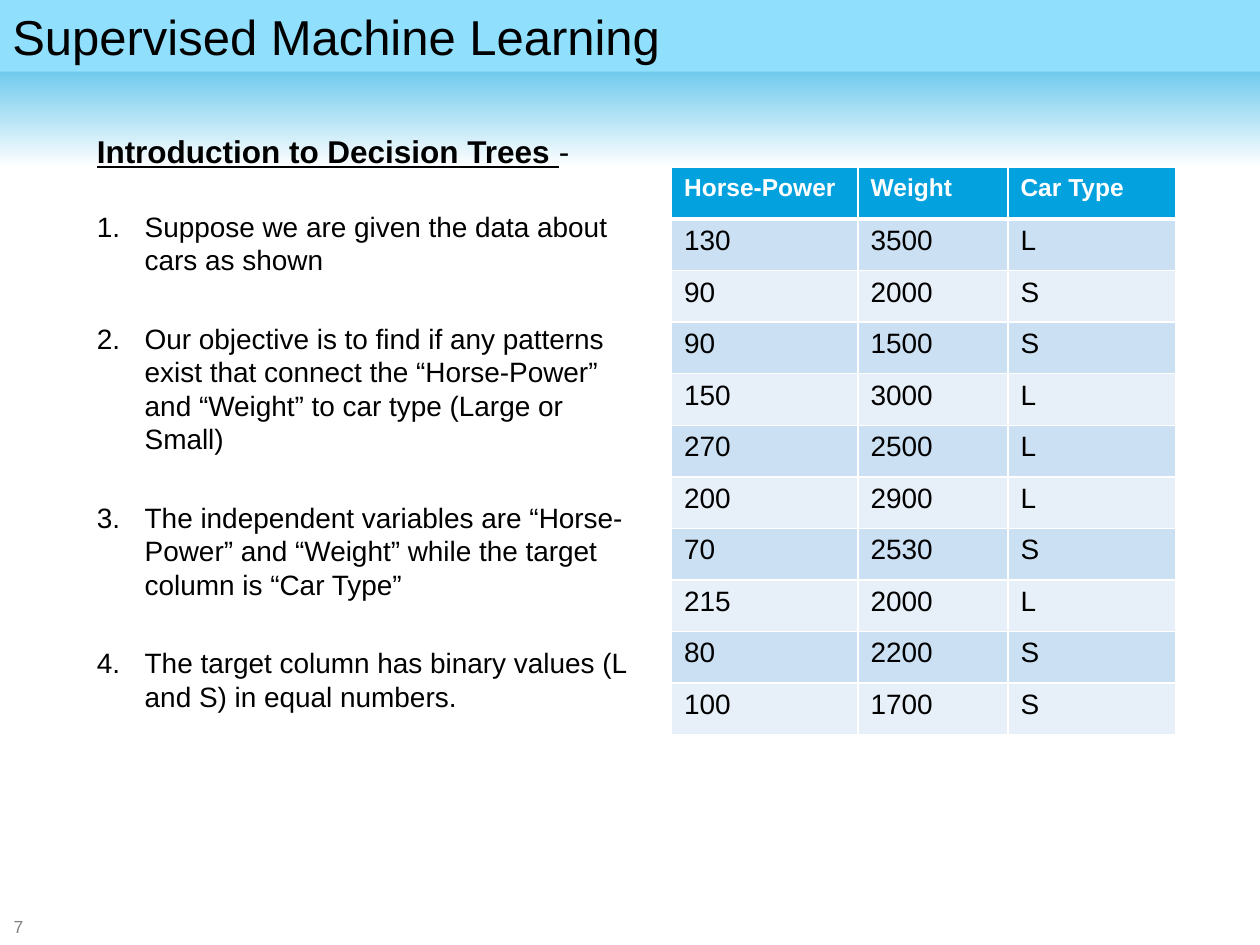
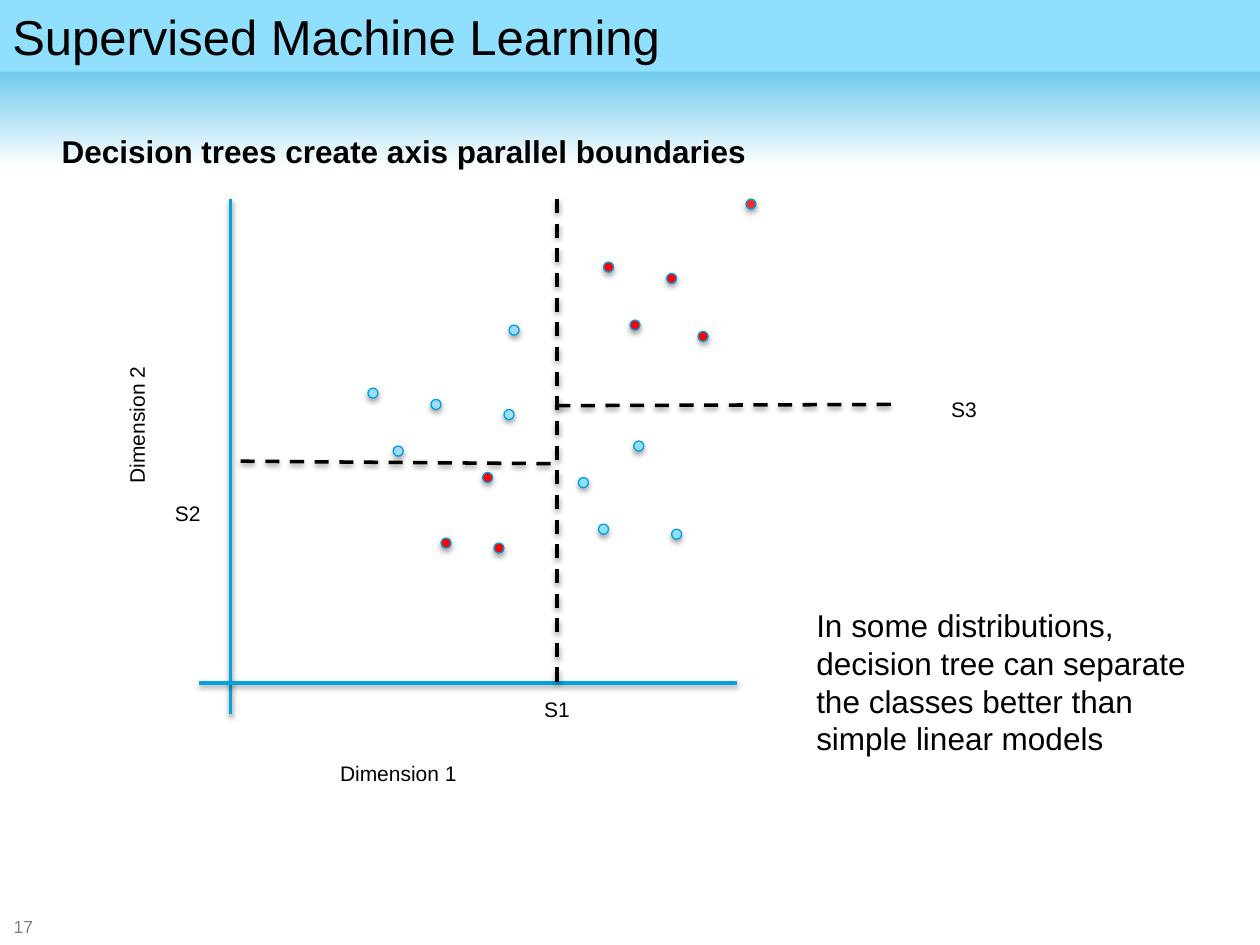
from lxml import etree
from pptx import Presentation
from pptx.dml.color import RGBColor
from pptx.enum.dml import MSO_LINE
from pptx.enum.shapes import MSO_CONNECTOR, MSO_SHAPE
from pptx.enum.text import MSO_ANCHOR, PP_ALIGN
from pptx.oxml import parse_xml
from pptx.oxml.ns import nsdecls, qn
from pptx.util import Inches, Pt

RECT, OVAL = MSO_SHAPE.RECTANGLE, MSO_SHAPE.OVAL
STRAIGHT, DASH = MSO_CONNECTOR.STRAIGHT, MSO_LINE.DASH
LEFT, TOP, MIDDLE = PP_ALIGN.LEFT, MSO_ANCHOR.TOP, MSO_ANCHOR.MIDDLE

FONT = "Arial"
COLORS = {
    "accent": "03A2DF", "band": "8FDFFD", "text": "000000", "white": "FFFFFF",
    "page": "808080", "row_odd": "CCE0F3", "row_even": "E7F0F9",
    "dot_line": "00A0DD", "dot_end": "ADD8FF", "red": "FF0000", "crimson": "EE2D30",
}
TITLE = "Supervised Machine Learning"

HEADING = "Introduction to Decision Trees "
POINTS = [
    "Suppose we are given the data about cars as shown",
    "Our objective is to find if any patterns exist that connect the “Horse-Power” "
    "and “Weight” to car type (Large or Small)",
    "The independent variables are “Horse-Power” and “Weight” while the target "
    "column is “Car Type”",
    "The target column has binary values (L and S) in equal numbers.",
]
CARS = [
    ("Horse-Power", "Weight", "Car Type"),
    (130, 3500, "L"), (90, 2000, "S"), (90, 1500, "S"), (150, 3000, "L"),
    (270, 2500, "L"), (200, 2900, "L"), (70, 2530, "S"), (215, 2000, "L"),
    (80, 2200, "S"), (100, 1700, "S"),
]
COL_WIDTHS = (1.48, 1.19, 1.33)

AXES = [(1.83, 1.58, 1.83, 5.67), (5.85, 5.42, 1.58, 5.42)]
SPLITS = [(4.42, 1.58, 4.42, 5.44), (7.07, 3.21, 4.42, 3.22), (4.37, 3.68, 1.86, 3.66)]
DOT_SIZE = 0.08
DOTS = [
    (("band", "dot_end"), [(2.92, 3.08), (3.42, 3.17), (3.12, 3.54), (4, 3.25), (4.04, 2.58)]),
    (("red",), [(3.83, 3.75), (3.5, 4.27), (3.92, 4.31), (4.79, 2.08),
                (5.29, 2.17), (5, 2.54), (5.54, 2.63)]),
    (("band",), [(5.03, 3.5), (4.75, 4.16), (5.33, 4.2), (4.59, 3.79)]),
    (("crimson",), [(5.92, 1.58)]),
]
LABELS = [
    ("S1", 4.22, 5.48, 0.52, 0), ("S2", 1.29, 3.92, 0.52, 0), ("S3", 7.45, 3.1, 0.52, 0),
    ("Dimension 1", 2.6, 5.99, 1.25, 0), ("Dimension 2", 0.46, 3.16, 1.25, 270),
]
BOUNDARIES = "Decision trees create axis parallel boundaries"
CONCLUSION = ("In some distributions, decision tree can separate the classes "
              "better than simple linear models")


def rgb(name):
    return RGBColor.from_string(COLORS[name])


def style(r, size, color="text", bold=False, underline=False):
    f = r.font
    f.name, f.size, f.bold, f.underline = FONT, Pt(size), bold, underline
    f.color.rgb = rgb(color)


def add_text(s, text, box, size, color="text", bold=False):
    sp = s.shapes.add_textbox(*map(Inches, box))
    tf = sp.text_frame
    tf.word_wrap = True
    tf.text = text
    style(tf.paragraphs[0].runs[0], size, color, bold)
    return sp


def paint(sp, colors, angle=0):
    if len(colors) == 1:
        sp.fill.solid()
        sp.fill.fore_color.rgb = rgb(colors[0])
        return
    sp.fill.gradient()
    sp.fill.gradient_angle = angle
    for stop, color in zip(sp.fill.gradient_stops, colors):
        stop.color.rgb = rgb(color)


def add_shadow(sp, opacity, blur, distance):
    sp._element.spPr.append(parse_xml(
        f'<a:effectLst {nsdecls("a")}><a:outerShdw blurRad="{Pt(blur)}" dist="{Pt(distance)}" '
        f'dir="5400000" rotWithShape="0"><a:srgbClr val="{COLORS["text"]}">'
        f'<a:alpha val="{opacity * 1000}"/></a:srgbClr></a:outerShdw></a:effectLst>'))


def add_band(s, height, colors):
    sp = s.shapes.add_shape(RECT, 0, 0, Inches(10), Inches(height))
    sp.shadow.inherit = False
    paint(sp, colors, 270)
    sp.line.fill.background()
    return sp


def add_slide(prs, number):
    s = prs.slides.add_slide(prs.slide_layouts[6])
    add_band(s, 1.33, ("accent", "white"))
    page = add_text(s, str(number), (0.01, 7.27, 0.39, 0.16), 10, "page")
    page.text_frame.vertical_anchor = MIDDLE
    tf = add_band(s, 0.57, ("band",)).text_frame
    tf.vertical_anchor = TOP
    tf.text = TITLE
    p = tf.paragraphs[0]
    p.alignment = LEFT
    style(p.runs[0], 28)
    return s


def add_line(s, ends, color, dash=None):
    line = s.shapes.add_connector(STRAIGHT, *map(Inches, ends))
    line.line.color.rgb = rgb(color)
    line.line.width = Pt(2)
    if dash:
        line.line.dash_style = dash
    add_shadow(line, 38, 3.1, 1.6)


def add_dot(s, x, y, colors):
    dot = s.shapes.add_shape(OVAL, *map(Inches, (x, y, DOT_SIZE, DOT_SIZE)))
    paint(dot, colors)
    dot.line.color.rgb = rgb("dot_line")
    dot.line.width = Pt(0.75)
    add_shadow(dot, 35, 3.1, 1.8)


def add_borders(cell, row):
    heavy = {0: "lnB", 1: "lnT"}.get(row)
    for side in ("lnL", "lnR", "lnT", "lnB"):
        width = Pt(3 if side == heavy else 1)
        cell._tc.get_or_add_tcPr().append(parse_xml(
            f'<a:{side} {nsdecls("a")} w="{width}"><a:solidFill>'
            f'<a:srgbClr val="{COLORS["white"]}"/></a:solidFill></a:{side}>'))


def add_car_table(s):
    table = s.shapes.add_table(len(CARS), len(COL_WIDTHS), Inches(5.33), Inches(1.33),
                               Inches(4), Inches(4.5)).table
    for col, width in zip(table.columns, COL_WIDTHS):
        col.width = Inches(width)
    for i, values in enumerate(CARS):
        fill = "accent" if i == 0 else "row_odd" if i % 2 else "row_even"
        for j, value in enumerate(values):
            cell = table.cell(i, j)
            cell.text = str(value)
            r = cell.text_frame.paragraphs[0].runs[0]
            if i == 0:
                style(r, 14, "white", bold=True)
            else:
                style(r, 16)
            add_borders(cell, i)
            paint(cell, (fill,))


def add_points(tf):
    for i, point in enumerate(POINTS):
        p = tf.add_paragraph()
        p.text = point
        p.space_before = Pt(25.5 if i else 22.5)
        pPr = p._p.get_or_add_pPr()
        pPr.set("marL", str(Inches(0.38)))
        pPr.set("indent", str(-Inches(0.38)))
        etree.SubElement(pPr, qn("a:buAutoNum"), type="arabicPeriod")
        style(p.runs[0], 16)


def build_introduction(prs):
    s = add_slide(prs, 7)
    tf = add_text(s, HEADING, (0.67, 1, 4.42, 5.16), 18, bold=True).text_frame
    p = tf.paragraphs[0]
    p.runs[0].font.underline = True
    r = p.add_run()
    r.text = "-"
    style(r, 18)
    add_points(tf)
    add_car_table(s)


def build_boundaries(prs):
    s = add_slide(prs, 17)
    for ends in AXES:
        add_line(s, ends, "accent")
    for colors, places in DOTS:
        for x, y in places:
            add_dot(s, x, y, colors)
    for ends in SPLITS:
        add_line(s, ends, "text", DASH)
    for text, x, y, width, rotation in LABELS:
        add_text(s, text, (x, y, width, 0.3), 12).rotation = rotation
    add_text(s, BOUNDARIES, (0.39, 1, 7.58, 0.4), 18, bold=True)
    add_text(s, CONCLUSION, (6.38, 4.76, 3.18, 1.31), 18)


def main():
    prs = Presentation()
    prs.slide_width, prs.slide_height = Inches(10), Inches(7.5)
    build_introduction(prs)
    build_boundaries(prs)
    prs.save("out.pptx")


if __name__ == "__main__":
    main()
